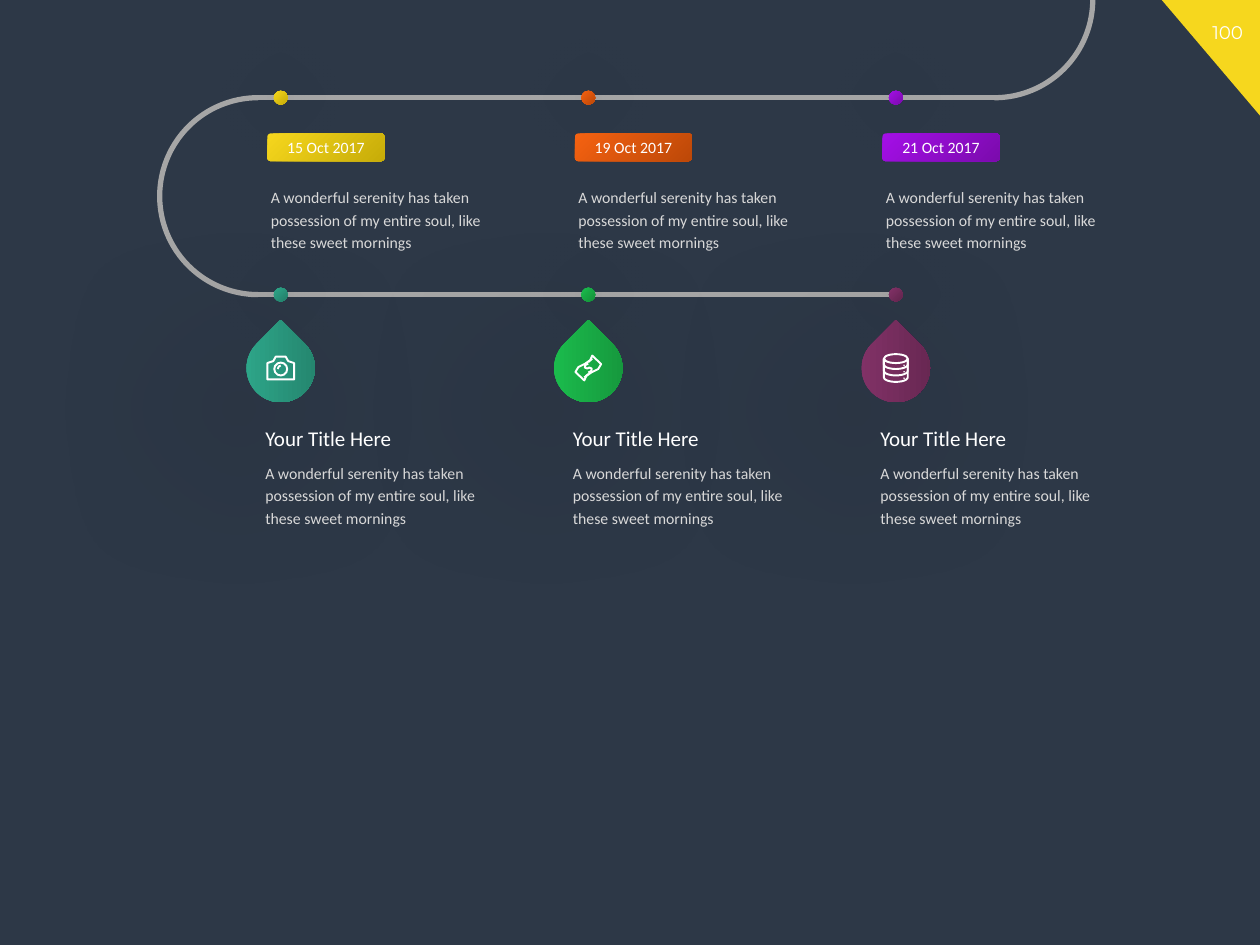
from math import cos, pi, sin

from lxml.etree import SubElement
from pptx import Presentation
from pptx.dml.color import RGBColor
from pptx.enum.shapes import MSO_CONNECTOR, MSO_SHAPE
from pptx.enum.text import MSO_ANCHOR, PP_ALIGN
from pptx.oxml.ns import qn
from pptx.util import Cm, Pt

WHITE, PALE, ROAD = "FFFFFF", "D9D9D9", "A6A6A6"
FIRST_STOP, STOP_GAP = 5.66, 6.2
UPPER_ROAD, LOWER_ROAD = 1.97, 5.94
BODY = "A wonderful serenity has taken possession of my entire soul, like these sweet mornings"
EVENTS = [
    ("15 Oct 2017", "F6D71E", "C7AC08"),
    ("19 Oct 2017", "F56211", "BD4808"),
    ("21 Oct 2017", "A40FE7", "7B0BAD"),
]


def color(value):
    """Turn a hex string into a colour."""
    return RGBColor.from_string(value)


def add_shape(slide, kind, left, top, width, height, fill=None, line=None, weight=1):
    """Add a shape measured in cm; fill is one colour or a gradient pair."""
    shape = slide.shapes.add_shape(kind, Cm(left), Cm(top), Cm(width), Cm(height))
    shape.shadow.inherit = False
    if fill is None:
        shape.fill.background()
    elif isinstance(fill, str):
        shape.fill.solid()
        shape.fill.fore_color.rgb = color(fill)
    else:
        shape.fill.gradient()
        shape.fill.gradient_angle = 315
        for stop, value in zip(shape.fill.gradient_stops, fill):
            stop.color.rgb = color(value)
    if line:
        shape.line.color.rgb = color(line)
        shape.line.width = Pt(weight)
    else:
        shape.line.fill.background()
    return shape


def cast_shadow(shape, blur, distance=0, angle=0):
    """Give a shape a soft black shadow."""
    effects = shape._element.spPr.find(qn("a:effectLst"))
    shadow = SubElement(effects, qn("a:outerShdw"), blurRad=str(Pt(blur)),
                        dist=str(Pt(distance)), dir=str(angle * 60000), rotWithShape="0")
    black = SubElement(shadow, qn("a:srgbClr"), val="000000")
    SubElement(black, qn("a:alpha"), val="40000")


def write(shape, text, size, value, font="Calibri", align=PP_ALIGN.LEFT, spacing=1.0):
    """Put one formatted paragraph into a shape."""
    shape.text_frame.word_wrap = True
    paragraph = shape.text_frame.paragraphs[0]
    paragraph.text = text
    paragraph.alignment = align
    paragraph.line_spacing = spacing
    paragraph.font.name = font
    paragraph.font.size = Pt(size)
    paragraph.font.color.rgb = color(value)


def add_text(slide, left, top, width, height, *args, **kwargs):
    """Add a text box measured in cm."""
    write(slide.shapes.add_textbox(Cm(left), Cm(top), Cm(width), Cm(height)), *args, **kwargs)


def add_stroke(slide, x, y, points, closed=False):
    """Draw a white line through points given in cm around a centre."""
    places = [(Cm(x + dx), Cm(y + dy)) for dx, dy in points]
    builder = slide.shapes.build_freeform(*places[0], scale=1.0)
    builder.add_line_segments(places[1:], close=closed)
    shape = builder.convert_to_shape()
    shape.shadow.inherit = False
    shape.fill.background()
    shape.line.color.rgb = color(WHITE)
    shape.line.width = Pt(1.1)


def opposite(points):
    """Turn points half way round their centre."""
    return [(-x, -y) for x, y in points]


def add_ring(slide, x, y, width, height):
    """Draw a white ellipse outline around a centre."""
    add_shape(slide, MSO_SHAPE.OVAL, x - width / 2, y - height / 2, width, height,
              line=WHITE, weight=1.1)


def add_camera(slide, x, y):
    """Draw a camera around a centre."""
    left = [(-0.27, 0.23), (-0.27, -0.1), (-0.15, -0.14), (-0.1, -0.23)]
    add_stroke(slide, x, y, left + [(-dx, dy) for dx, dy in reversed(left)], closed=True)
    add_ring(slide, x, y + 0.02, 0.26, 0.26)
    add_stroke(slide, x, y, [(-0.06, 0.02), (-0.04, -0.03), (0, -0.05)])


def add_banknote(slide, x, y):
    """Draw a waving banknote around a centre."""
    edge = [(-0.26, 0.08), (-0.2, -0.02), (-0.06, -0.09), (0.04, -0.16), (0.08, -0.25)]
    add_stroke(slide, x, y, edge + opposite(edge), closed=True)
    curl = [(0, -0.09), (-0.06, -0.06), (-0.07, -0.01), (-0.02, 0.01)]
    add_stroke(slide, x, y, curl + opposite(curl[::-1]))
    for mark in ([(-0.08, -0.08), (-0.05, -0.05)], [(-0.08, 0.19), (0, 0.12)]):
        add_stroke(slide, x, y, mark)
        add_stroke(slide, x, y, opposite(mark))


def add_database(slide, x, y):
    """Draw a stack of discs around a centre."""
    add_ring(slide, x, y - 0.19, 0.48, 0.18)
    for level in (-0.07, 0.06, 0.19):
        curve = [(-0.24 * cos(step * pi / 12), level + 0.09 * sin(step * pi / 12))
                 for step in range(13)]
        add_stroke(slide, x, y, [(-0.24, -0.19)] + curve + [(0.24, -0.19)])
        add_shape(slide, MSO_SHAPE.OVAL, x + 0.15, y + level, 0.03, 0.03, WHITE)


def add_road(slide):
    """Draw the winding grey road."""
    bend = LOWER_ROAD - UPPER_ROAD
    for y, end in ((LOWER_ROAD, 18.18), (UPPER_ROAD, 20.06)):
        line = slide.shapes.add_connector(MSO_CONNECTOR.STRAIGHT, Cm(5.2), Cm(y), Cm(end), Cm(y))
        line.line.color.rgb = color(ROAD)
        line.line.width = Pt(3)
        SubElement(line._element.spPr, qn("a:effectLst"))
    for left, top, start, stop in ((3.22, UPPER_ROAD, 54, 162),
                                   (18.06, UPPER_ROAD - bend, 0, 54)):
        arc = add_shape(slide, MSO_SHAPE.ARC, left, top, bend, bend, line=ROAD, weight=3)
        arc.adjustments[0], arc.adjustments[1] = start, stop


def add_stop(slide, x, y, gradient):
    """Mark a stop on the road."""
    dot = add_shape(slide, MSO_SHAPE.OVAL, x - 0.14, y - 0.14, 0.28, 0.28, gradient)
    cast_shadow(dot, 48)


def add_event(slide, x, y, date, gradient):
    """Place a dated stop with its text below a point of the road."""
    add_stop(slide, x, y, gradient)
    add_text(slide, x - 0.45, y + 1.61, 5.26, 1.65, BODY, 9, PALE, spacing=1.2)
    label = add_shape(slide, MSO_SHAPE.ROUNDED_RECTANGLE, x - 0.27, y + 0.72, 2.36, 0.56, gradient)
    label.adjustments[0] = 0.12
    label.text_frame.vertical_anchor = MSO_ANCHOR.MIDDLE
    write(label, date, 9, WHITE, align=PP_ALIGN.CENTER)


def add_feature(slide, x, y, add_icon, gradient):
    """Place a stop with its drop, title and text below a point of the road."""
    add_stop(slide, x, y, gradient)
    drop = add_shape(slide, MSO_SHAPE.TEAR, x - 0.69, y + 0.79, 1.38, 1.38, gradient)
    drop.rotation = 315
    cast_shadow(drop, 100, 34, 135)
    add_icon(slide, x, y + 1.48)
    add_text(slide, x - 0.56, y + 3.2, 5, 1.65, BODY, 9, PALE, spacing=1.2)
    add_text(slide, x - 0.56, y + 2.57, 3.84, 0.99, "Your Title Here", 12, WHITE, spacing=0.9)


def add_page_corner(slide):
    """Place the yellow corner with the page number."""
    corner = add_shape(slide, MSO_SHAPE.RIGHT_TRIANGLE, 23.42, 0, 1.98, 2.33, "F6D71E")
    corner.rotation = 180
    add_text(slide, 24.1, 0.3, 1.3, 0.71, "100", 10.5, WHITE, "Montserrat", PP_ALIGN.CENTER)


def main():
    """Build the timeline slide."""
    features = [
        (add_camera, "2FAB8D", "23806A"),
        (add_banknote, "1CC24F", "15923B"),
        (add_database, "85336A", "64264F"),
    ]
    presentation = Presentation()
    presentation.slide_width, presentation.slide_height = Cm(25.4), Cm(19.05)
    slide = presentation.slides.add_slide(presentation.slide_layouts[6])
    slide.background.fill.solid()
    slide.background.fill.fore_color.rgb = color("2D3847")
    add_page_corner(slide)
    add_road(slide)
    for index, (event, feature) in enumerate(zip(EVENTS, features)):
        x = FIRST_STOP + index * STOP_GAP
        add_event(slide, x, UPPER_ROAD, event[0], event[1:])
        add_feature(slide, x, LOWER_ROAD, feature[0], feature[1:])
    presentation.save("out.pptx")


if __name__ == "__main__":
    main()
